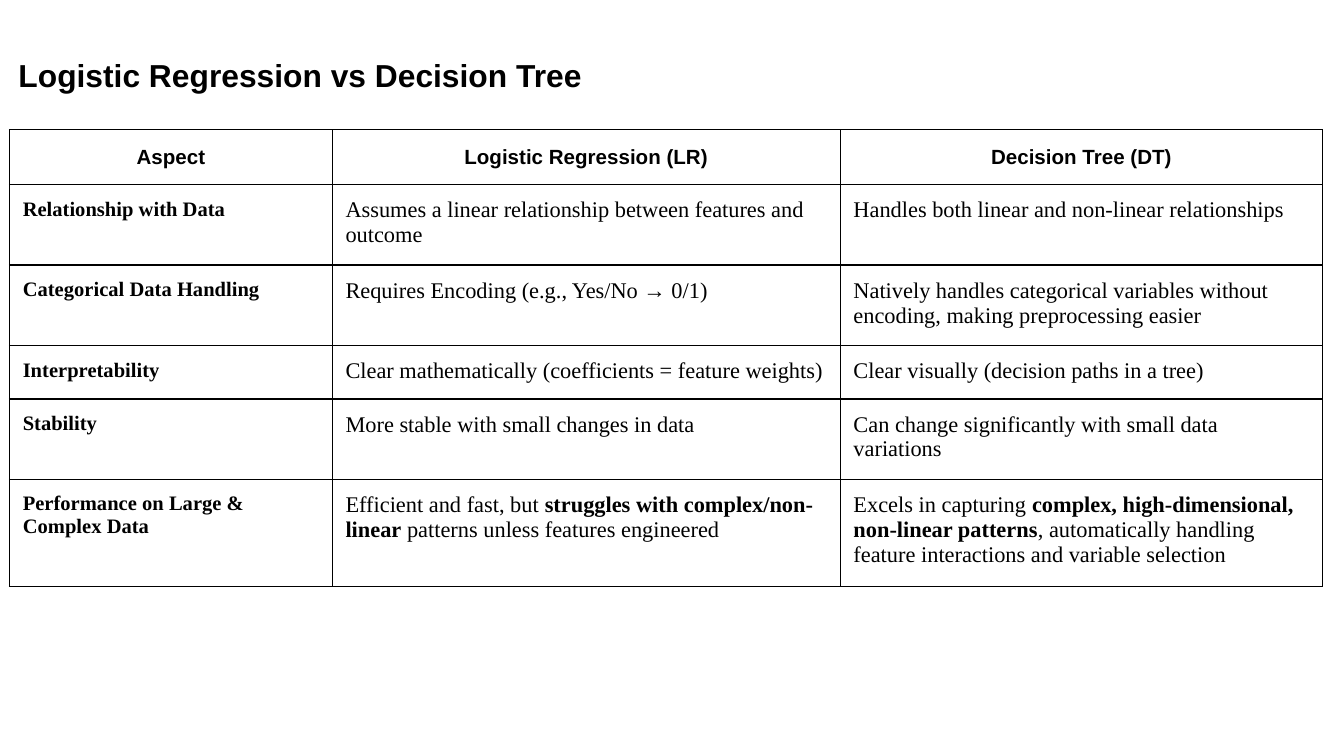
from pptx import Presentation
from pptx.dml.color import RGBColor
from pptx.enum.text import MSO_ANCHOR, PP_ALIGN as Align
from pptx.oxml import parse_xml
from pptx.oxml.ns import nsdecls
from pptx.util import Cm, Pt

BLACK = RGBColor(0x00, 0x00, 0x00)
WHITE = RGBColor(0xFF, 0xFF, 0xFF)
SANS, SERIF = "Arial", "Times New Roman"
INSET = Cm(0.25)

COLUMN_WIDTHS = [6.1, 9.6, 9.12]
ROW_HEIGHTS = [1.04, 1.52, 1.52, 1.01, 1.52, 2.03]

# Parts between ** marks are bold.
ROWS = [
    ["Aspect", "Logistic Regression (LR)", "Decision Tree (DT)"],
    ["Relationship with Data",
     "Assumes a linear relationship between features and outcome",
     "Handles both linear and non-linear relationships"],
    ["Categorical Data Handling",
     "Requires Encoding (e.g., Yes/No → 0/1)",
     "Natively handles categorical variables without encoding, "
     "making preprocessing easier"],
    ["Interpretability",
     "Clear mathematically (coefficients = feature weights)",
     "Clear visually (decision paths in a tree)"],
    ["Stability",
     "More stable with small changes in data",
     "Can change significantly with small data variations"],
    ["Performance on Large & Complex Data",
     "Efficient and fast, but **struggles with complex/non-linear** "
     "patterns unless features engineered",
     "Excels in capturing **complex, high-dimensional, non-linear patterns**, "
     "automatically handling feature interactions and variable selection"],
]


def write(para, text, size, font, bold=False, align=Align.LEFT, spacing=1.0):
    """Fill a paragraph; parts of the text between ** marks turn bold."""
    para.alignment = align
    para.line_spacing = spacing
    for index, part in enumerate(text.split("**")):
        span = para.add_run()
        span.text = part
        span.font.size = Pt(size)
        span.font.name = font
        span.font.bold = bold or index % 2 == 1
        span.font.color.rgb = BLACK


def add_borders(cell):
    properties = cell._tc.get_or_add_tcPr()
    for position, side in enumerate(("lnL", "lnR", "lnT", "lnB")):
        properties.insert(position, parse_xml(
            f'<a:{side} {nsdecls("a")} w="{Pt(0.75)}"><a:solidFill>'
            f'<a:srgbClr val="{BLACK}"/></a:solidFill></a:{side}>'))


deck = Presentation()
deck.slide_width, deck.slide_height = Cm(25.4), Cm(14.29)
page = deck.slides.add_slide(deck.slide_layouts[6])
page.background.fill.solid()
page.background.fill.fore_color.rgb = WHITE

# Comparison table
table = page.shapes.add_table(
    len(ROWS), len(COLUMN_WIDTHS), Cm(0.18), Cm(2.45),
    Cm(sum(COLUMN_WIDTHS)), Cm(sum(ROW_HEIGHTS))).table
table.horz_banding = False
for column, width in zip(table.columns, COLUMN_WIDTHS):
    column.width = Cm(width)
for row, height in zip(table.rows, ROW_HEIGHTS):
    row.height = Cm(height)

for row_index, texts in enumerate(ROWS):
    for column_index, text in enumerate(texts):
        cell = table.cell(row_index, column_index)
        cell.fill.background()
        cell.margin_left = cell.margin_right = INSET
        cell.margin_top = cell.margin_bottom = INSET
        add_borders(cell)
        para = cell.text_frame.paragraphs[0]
        if row_index == 0:
            write(para, text, size=11, font=SANS, bold=True,
                  align=Align.CENTER, spacing=1.15)
        elif column_index == 0:
            write(para, text, size=11, font=SERIF, bold=True)
        else:
            write(para, text, size=12, font=SERIF)

# Title
box = page.shapes.add_textbox(Cm(0.1), Cm(0.69), Cm(21.21), Cm(1.24))
frame = box.text_frame
frame.word_wrap = True
frame.vertical_anchor = MSO_ANCHOR.TOP
frame.margin_left = frame.margin_right = INSET
frame.margin_top = frame.margin_bottom = INSET
write(frame.paragraphs[0], "Logistic Regression vs Decision Tree",
      size=17, font=SANS, bold=True, spacing=1.15)

deck.save("out.pptx")
